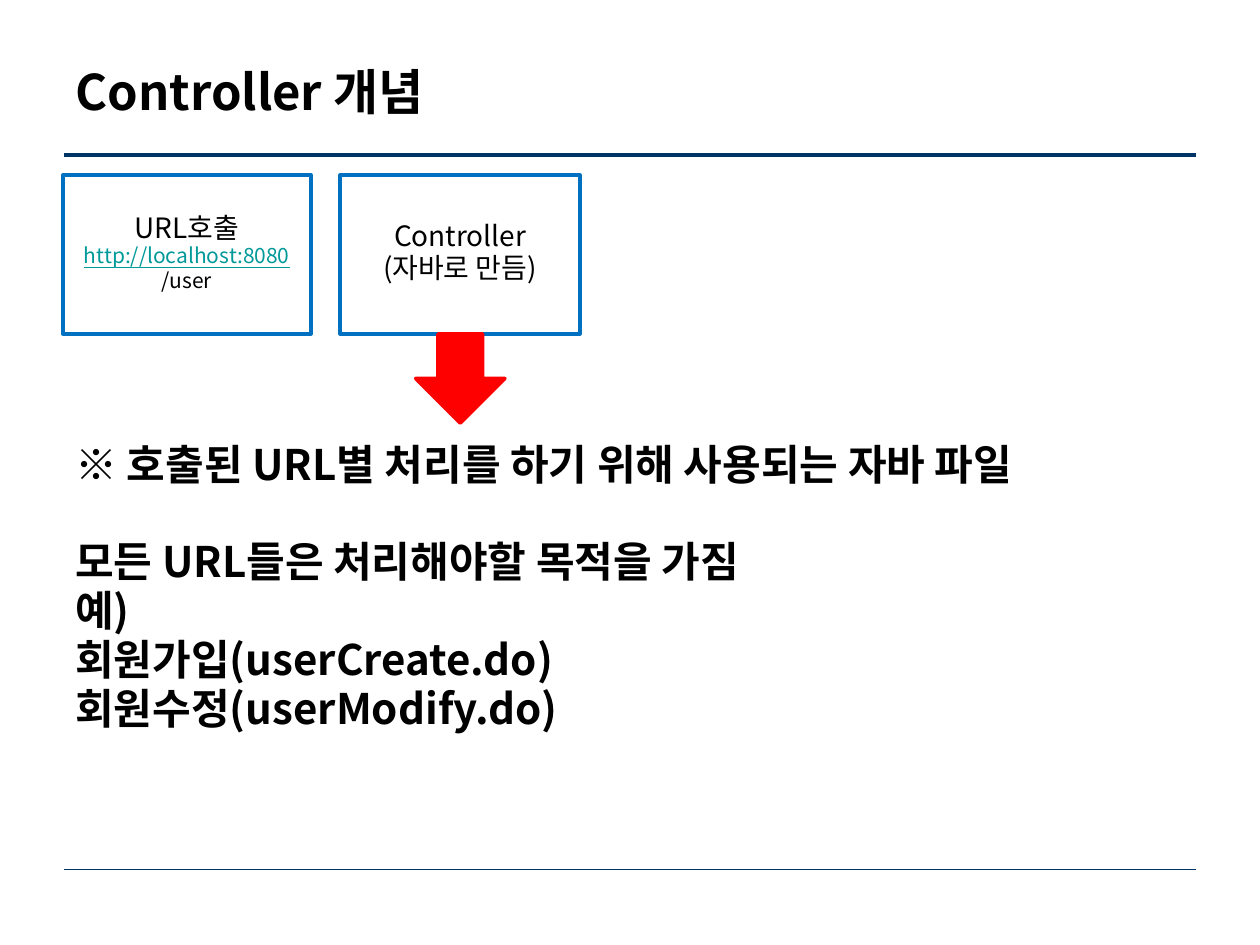
"""Builds the slide that explains the Controller concept."""
from dataclasses import dataclass

from lxml import etree
from pptx import Presentation
from pptx.dml.color import RGBColor
from pptx.enum.shapes import MSO_CONNECTOR, MSO_SHAPE
from pptx.enum.text import MSO_ANCHOR, PP_ALIGN
from pptx.oxml.ns import qn
from pptx.util import Cm, Pt

FONT = "Noto Sans CJK KR"
BLACK = RGBColor(0x00, 0x00, 0x00)
NAVY = RGBColor(0x00, 0x33, 0x66)
BLUE = RGBColor(0x00, 0x70, 0xC0)
TEAL = RGBColor(0x00, 0x99, 0x99)
RED = RGBColor(0xFF, 0x00, 0x00)
STRAIGHT = MSO_CONNECTOR.STRAIGHT
RECTANGLE, DOWN_ARROW = MSO_SHAPE.RECTANGLE, MSO_SHAPE.DOWN_ARROW
MIDDLE, TOP = MSO_ANCHOR.MIDDLE, MSO_ANCHOR.TOP
LEFT, CENTER, JUSTIFY = PP_ALIGN.LEFT, PP_ALIGN.CENTER, PP_ALIGN.JUSTIFY
MARGIN, BOX_TOP, BOX_HEIGHT = 1.27, 3.53, 3.2
SPACE_BEFORE_SHARE = 0.2


@dataclass(frozen=True)
class Line:
    text: str
    size: float
    color: RGBColor = BLACK
    bold: bool = False
    underline: bool = False
    gap: float = 0


@dataclass(frozen=True)
class Step:
    left: float
    width: float
    lines: tuple[Line, ...]


@dataclass(frozen=True)
class Rule:
    top: float
    weight: float


RULES = (Rule(17.53, 0.75), Rule(3.12, 2))
STEPS = (
    Step(6.86, 4.83, (Line("Controller", 16), Line("(자바로 만듬)", 16))),
    Step(MARGIN, 5, (
        Line("URL호출", 16),
        Line("http://localhost:8080", 12, TEAL, underline=True),
        Line("/user", 12),
    )),
)
EXPLANATION = (
    Line("※ 호출된 URL별 처리를 하기 위해 사용되는 자바 파일", 24, bold=True),
    Line("모든 URL들은 처리해야할 목적을 가짐", 24, bold=True, gap=27.6),
    Line("예)", 24, bold=True),
    Line("회원가입(userCreate.do)", 24, bold=True),
    Line("회원수정(userModify.do)", 24, bold=True),
)


def write(frame, lines: tuple[Line, ...], align, anchor, wrap: bool, spacing: float = 0.8) -> None:
    frame.word_wrap = wrap
    frame.vertical_anchor = anchor
    for index, line in enumerate(lines):
        paragraph = frame.add_paragraph() if index else frame.paragraphs[0]
        paragraph.alignment = align
        paragraph.line_spacing = spacing
        paragraph.space_before = Pt(line.size * SPACE_BEFORE_SHARE + line.gap if index else 0)
        run = paragraph.add_run()
        run.text = line.text
        looks = {"name": FONT, "size": Pt(line.size), "bold": line.bold, "underline": line.underline}
        for attribute, value in looks.items():
            setattr(run.font, attribute, value)
        run.font.color.rgb = line.color
        run.font._element.set("kern", "0")
        etree.SubElement(run.font._element, qn("a:ea"), typeface=FONT)


def draw_rule(shapes, rule: Rule) -> None:
    divider = shapes.add_connector(STRAIGHT, Cm(1.3), Cm(rule.top), Cm(24.1), Cm(rule.top))
    divider.line.color.rgb = NAVY
    divider.line.width = Pt(rule.weight)
    etree.SubElement(divider._element.spPr, qn("a:effectLst"))


def draw_outlined(shapes, preset, place: tuple[float, ...], color: RGBColor):
    outlined = shapes.add_shape(preset, *map(Cm, place))
    outlined.shadow.inherit = False
    outlined.fill.background()
    outlined.line.color.rgb = color
    outlined.line.width = Pt(2)
    return outlined


def draw_step(shapes, step: Step) -> None:
    place = (step.left, BOX_TOP, step.width, BOX_HEIGHT)
    box = draw_outlined(shapes, RECTANGLE, place, BLUE)
    write(box.text_frame, step.lines, CENTER, MIDDLE, wrap=False)


def main() -> None:
    presentation = Presentation()
    presentation.slide_width, presentation.slide_height = Cm(25.4), Cm(19.05)
    shapes = presentation.slides.add_slide(presentation.slide_layouts[5]).shapes

    title = shapes.title
    place = {"left": MARGIN, "top": 0.76, "width": 22.86, "height": 2.16}
    for attribute, value in place.items():
        setattr(title, attribute, Cm(value))
    write(title.text_frame, (Line("Controller 개념", 28, bold=True),), JUSTIFY, MIDDLE, True, 1.0)

    for rule in RULES:
        draw_rule(shapes, rule)
    for step in STEPS:
        draw_step(shapes, step)

    arrow = draw_outlined(shapes, DOWN_ARROW, (8.38, BOX_TOP + BOX_HEIGHT, 1.8, 1.8), RED)
    arrow.fill.solid()
    arrow.fill.fore_color.rgb = RED

    explanation = shapes.add_textbox(Cm(MARGIN), Cm(8.92), Cm(21.41), Cm(7.24))
    write(explanation.text_frame, EXPLANATION, LEFT, TOP, wrap=True)

    presentation.save("out.pptx")


if __name__ == "__main__":
    main()
